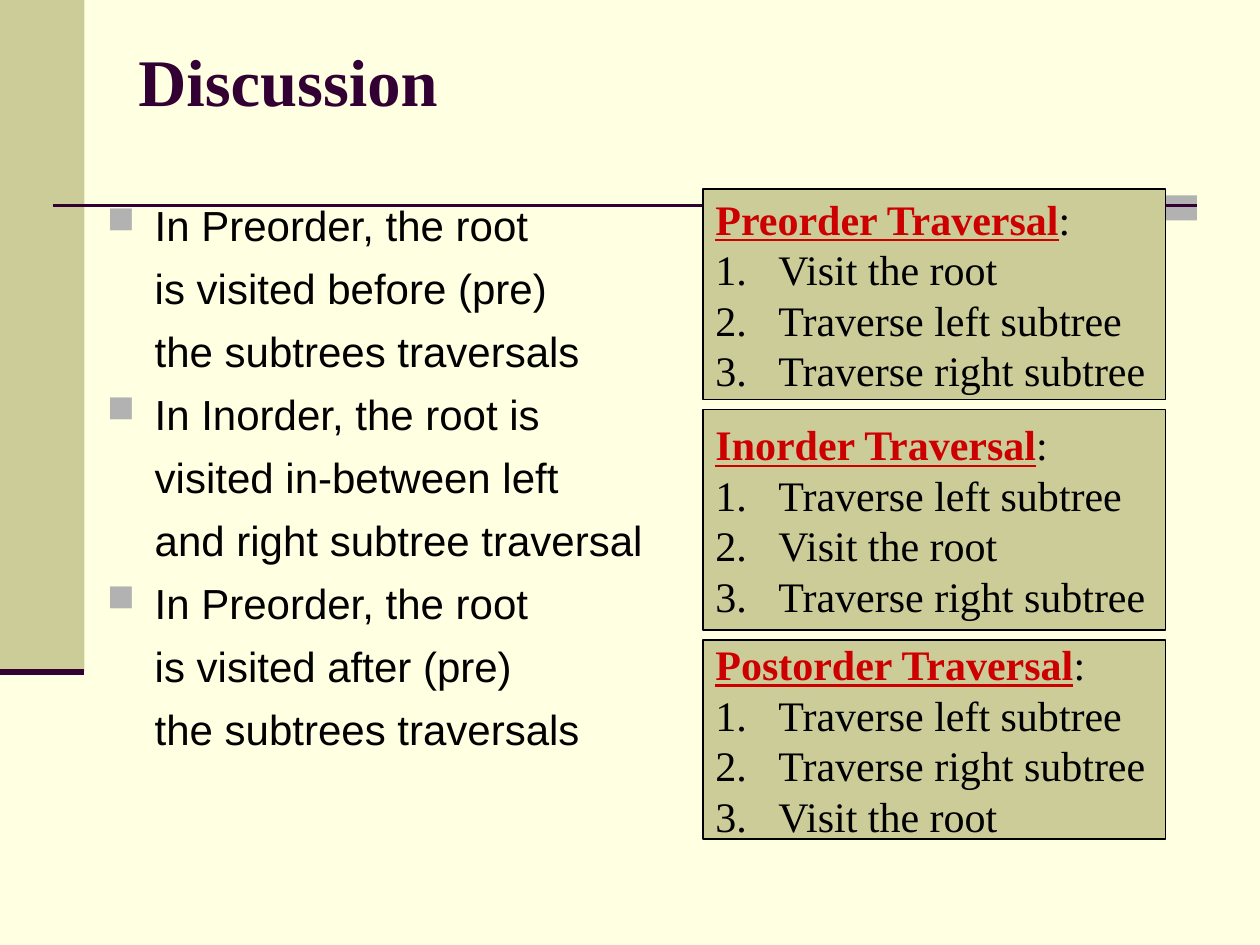
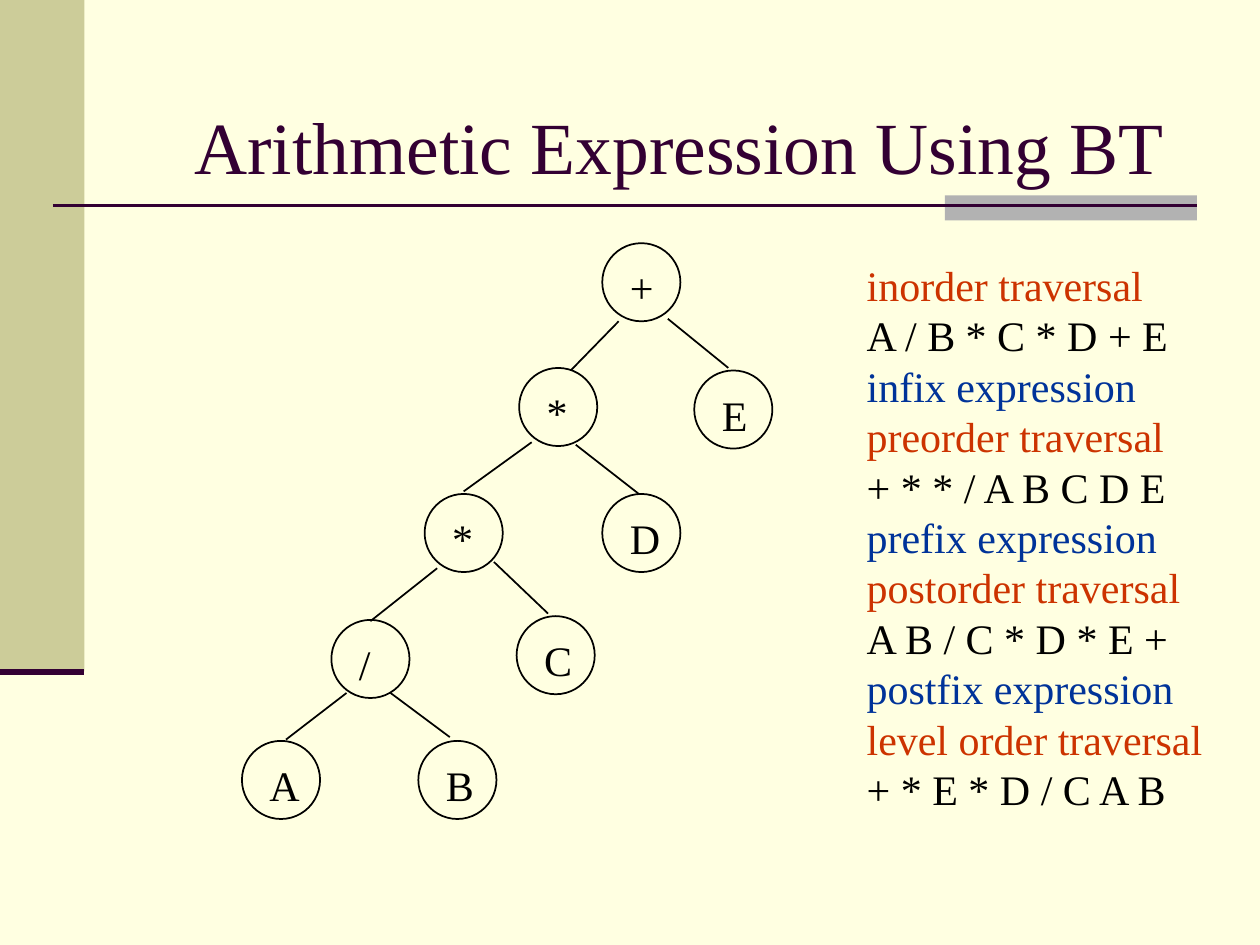
"""Build two slides on binary tree traversals and arithmetic expressions."""
import pptx
import pptx.dml.color
import pptx.enum.shapes
import pptx.enum.text
import pptx.oxml.ns
import pptx.util
from lxml import etree

Inches = pptx.util.Inches
Pt = pptx.util.Pt
ALIGN = pptx.enum.text.PP_ALIGN
ANCHOR = pptx.enum.text.MSO_ANCHOR
SHAPE = pptx.enum.shapes.MSO_SHAPE

CREAM, OLIVE, GRAY, PLUM = "FFFFE1", "CCCC99", "B2B2B2", "330033"
BLACK, RED, ORANGE, BLUE = "000000", "CC0000", "CC3300", "003399"
SERIF, SANS = "Times New Roman", "Arial"

REMARKS = [
    ("In Preorder, the root", "is visited before (pre)", "the subtrees traversals"),
    ("In Inorder, the root is", "visited in-between left", "and right subtree traversal"),
    ("In Preorder, the root", "is visited after (pre)", "the subtrees traversals"),
]

ROOT, LEFT, RIGHT = "Visit the root", "Traverse left subtree", "Traverse right subtree"
TRAVERSALS = [
    ("Preorder Traversal", (ROOT, LEFT, RIGHT), 1.5, 1.67),
    ("Inorder Traversal", (LEFT, ROOT, RIGHT), 3.25, 1.75),
    ("Postorder Traversal", (LEFT, RIGHT, ROOT), 5.08, 1.58),
]

NODE_SIZE = 0.62
NODES = [
    ("+", 4.78, 1.93, 0.39),
    ("*", 4.12, 2.92, 0.37),
    ("E", 5.51, 2.94, 0.41),
    ("*", 3.37, 3.92, 0.37),
    ("D", 4.78, 3.92, 0.44),
    ("/", 2.63, 4.92, 0.29),
    ("C", 4.1, 4.89, 0.42),
    ("A", 1.92, 5.88, 0.44),
    ("B", 3.32, 5.88, 0.42),
]
BRANCHES = [
    (4.91, 2.55, 4.53, 2.94), (5.3, 2.53, 5.78, 2.92),
    (4.22, 3.51, 3.68, 3.9), (4.57, 3.53, 5.07, 3.92),
    (3.47, 4.51, 2.94, 4.93), (3.92, 4.46, 4.35, 4.87),
    (2.75, 5.5, 2.27, 5.87), (3.1, 5.5, 3.57, 5.85),
]

ORDERS = [
    ("inorder traversal", "A / B * C * D + E", "infix expression"),
    ("preorder traversal", "+ * * / A B C D E", "prefix expression"),
    ("postorder traversal", "A B / C * D * E +", "postfix expression"),
    ("level order traversal", "+ * E * D / C A B"),
]


def rgb(color):
    return pptx.dml.color.RGBColor.from_string(color)


def add_panel(s, kind, x, y, w, h, fill=None, line=None, width=1):
    sp = s.shapes.add_shape(kind, Inches(x), Inches(y), Inches(w), Inches(h))
    sp.shadow.inherit = False
    if fill:
        sp.fill.solid()
        sp.fill.fore_color.rgb = rgb(fill)
    else:
        sp.fill.background()
    if line:
        sp.line.color.rgb = rgb(line)
        sp.line.width = Pt(width)
    else:
        sp.line.fill.background()
    return sp


def add_line(s, x1, y1, x2, y2, color=BLACK, width=1):
    line = s.shapes.add_connector(pptx.enum.shapes.MSO_CONNECTOR.STRAIGHT,
                                  Inches(x1), Inches(y1), Inches(x2), Inches(y2))
    line.line.color.rgb = rgb(color)
    line.line.width = Pt(width)
    etree.SubElement(line._element.spPr, pptx.oxml.ns.qn("a:effectLst"))


def add_frame(s, x, y, w, h, anchor=ANCHOR.TOP, wrap=True):
    tf = s.shapes.add_textbox(Inches(x), Inches(y), Inches(w), Inches(h)).text_frame
    tf.word_wrap = wrap
    tf.vertical_anchor = anchor
    return tf


def add_run(p, text, size=24, font=SERIF, color=BLACK, bold=False, underline=False):
    r = p.add_run()
    r.text = text
    r.font.size = Pt(size)
    r.font.name = font
    r.font.color.rgb = rgb(color)
    r.font.bold = bold
    r.font.underline = underline


def add_text(tf, text, align=ALIGN.LEFT, before=0, **style):
    p = tf.paragraphs[0]
    if p.runs:
        p = tf.add_paragraph()
    p.alignment = align
    p.space_before = Pt(before)
    add_run(p, text, **style)
    return p


def indent(p, left, hanging, color=None, size=100, **marker):
    pPr = p._p.get_or_add_pPr()
    pPr.set("marL", str(Inches(left)))
    pPr.set("indent", str(-Inches(hanging)))
    if marker:
        qn = pptx.oxml.ns.qn
        bu_color = etree.SubElement(pPr, qn("a:buClr"))
        etree.SubElement(bu_color, qn("a:srgbClr"), val=color)
        etree.SubElement(pPr, qn("a:buSzPct"), val=str(size * 1000))
        tag = "a:buChar" if "char" in marker else "a:buAutoNum"
        etree.SubElement(pPr, qn(tag), **marker)


def add_base_slide(prs):
    s = prs.slides.add_slide(prs.slide_layouts[6])
    s.background.fill.solid()
    s.background.fill.fore_color.rgb = rgb(CREAM)
    add_panel(s, SHAPE.RECTANGLE, 0, 0, 0.67, 5.33, OLIVE)
    add_panel(s, SHAPE.RECTANGLE, 7.5, 1.55, 2, 0.2, GRAY)
    add_line(s, 0.42, 1.63, 9.5, 1.63, PLUM, 1.5)
    add_line(s, 0, 5.33, 0.67, 5.33, PLUM, 3.5)
    return s


def add_title(s, text, x, y, w, h, **style):
    add_text(add_frame(s, x, y, w, h, ANCHOR.MIDDLE), text, color=PLUM, **style)


def build_discussion(prs):
    s = add_base_slide(prs)
    add_title(s, "Discussion", 1, 0.3, 8.5, 0.67, size=38, bold=True)
    tf = add_frame(s, 0.75, 1.5, 8.5, 5.17)
    tf.margin_top = Inches(0.08)
    for remark in REMARKS:
        for i, line in enumerate(remark):
            p = add_text(tf, line, before=7.2, font=SANS)
            if i == 0:
                indent(p, 0.38, 0.38, GRAY, 90, char="■")
            else:
                indent(p, 0.38, 0)
    for name, steps, y, h in TRAVERSALS:
        box = add_panel(s, SHAPE.RECTANGLE, 5.58, y, 3.67, h, OLIVE, BLACK, 0.75)
        tf = box.text_frame
        tf.word_wrap = True
        tf.vertical_anchor = ANCHOR.MIDDLE
        p = add_text(tf, name, color=RED, bold=True, underline=True)
        add_run(p, ":")
        for step in steps:
            indent(add_text(tf, step), 0.5, 0.5, BLACK, type="arabicPeriod")


def build_expression(prs):
    s = add_base_slide(prs)
    add_title(s, "Arithmetic Expression Using BT", 0.38, 0.53, 10.02, 1.25,
              size=42, align=ALIGN.CENTER)
    for symbol, x, y, w in NODES:
        add_panel(s, SHAPE.OVAL, x, y, NODE_SIZE, NODE_SIZE, line=BLACK)
        add_text(add_frame(s, x + 0.12, y + 0.1, w, 0.5, wrap=False), symbol)
    for branch in BRANCHES:
        add_line(s, *branch)
    tf = add_frame(s, 6.78, 2.01, 2.87, 4.5, wrap=False)
    for order in ORDERS:
        for line, color in zip(order, (ORANGE, BLACK, BLUE)):
            add_text(tf, line, color=color)


def main():
    prs = pptx.Presentation()
    prs.slide_width, prs.slide_height = Inches(10), Inches(7.5)
    build_discussion(prs)
    build_expression(prs)
    prs.save("out.pptx")


if __name__ == "__main__":
    main()
